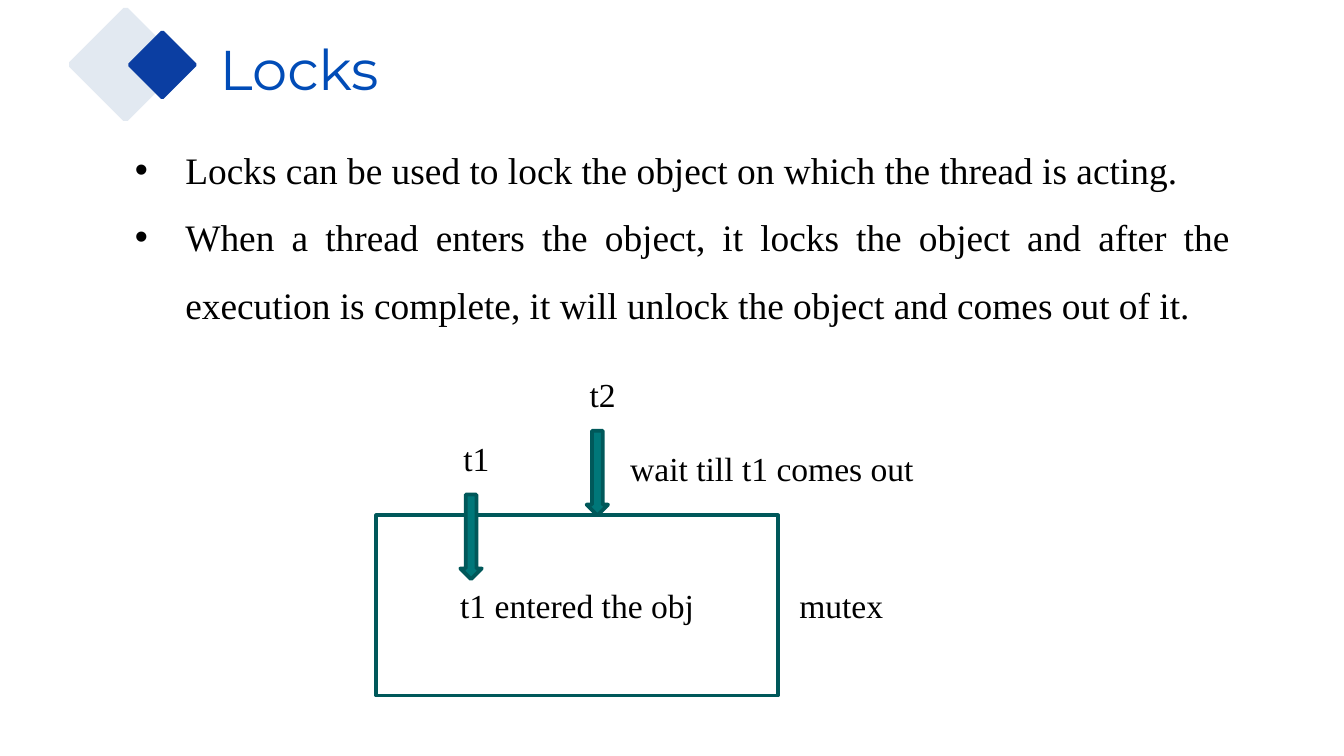
from dataclasses import dataclass
from lxml.etree import SubElement as Sub
from pptx import Presentation
from pptx.dml.color import RGBColor as Rgb
from pptx.enum.shapes import MSO_SHAPE as Kind
from pptx.enum.text import MSO_ANCHOR as Anchor, PP_ALIGN as Align
from pptx.oxml.ns import qn
from pptx.util import Inches, Pt

# The grid: 100 columns by 56.25 rows of a tenth of an inch (16:9)
COLS, ROWS, UNIT = 100, 56.25, 0.1


@dataclass(frozen=True)
class Theme:
    pale: str = "E2E9F1"
    navy: str = "0B3EA2"
    blue: str = "014CB7"
    ink: str = "000000"
    teal: str = "007779"
    edge: str = "00585A"
    head: str = "Montserrat"
    body: str = "Times New Roman"
    big: int = 30
    mid: int = 20
    small: int = 18
    line: int = 2


T = Theme()


def grid(n):
    return Inches(n * UNIT)


def place(box, x, y, w, h):
    """A part's box, given from the corner of its region."""
    return box[0] + x, box[1] + y, w, h


def paint(shape, fill=None, edge=None):
    shape.shadow.inherit = False
    if fill:
        shape.fill.solid()
        shape.fill.fore_color.rgb = Rgb.from_string(fill)
    else:
        shape.fill.background()
    if edge:
        shape.line.color.rgb = Rgb.from_string(edge)
        shape.line.width = Pt(T.line)
    else:
        shape.line.fill.background()


def write(frame, *lines, font=T.body, size=T.small, color=T.ink,
          align=Align.CENTER, space=None, indent=0, wrap=True, inset=True):
    frame.word_wrap = wrap
    if not inset:
        frame.margin_left = frame.margin_right = 0
        frame.margin_top = frame.margin_bottom = 0
    for i, line in enumerate(lines):
        para = frame.add_paragraph() if i else frame.paragraphs[0]
        para.alignment = align
        para.line_spacing = space
        if indent:
            props = para._p.get_or_add_pPr()
            props.set("marL", str(grid(indent)))
            props.set("indent", str(-grid(indent)))
            Sub(props, qn("a:buFont"), typeface="Arial")
            Sub(props, qn("a:buChar"), char="•")
        run = para.add_run()
        run.text = line
        run.font.name, run.font.size = font, Pt(size)
        run.font.color.rgb = Rgb.from_string(color)


def text(slide, box, *lines, **form):
    area = slide.shapes.add_textbox(*map(grid, box))
    write(area.text_frame, *lines, **form)


def gem(slide, box, fill):
    """A diamond with soft corners."""
    left, top, wide, high = box
    # Top corner as shares of the box; a quarter turn gives the next one
    turn = [(0.47, 0.01), (0.48, 0), (0.52, 0), (0.53, 0.01)]
    dots = []
    for _ in range(4):
        dots += turn
        turn = [(1 - y, x) for x, y in turn]
    dots = [(grid(left + x * wide), grid(top + y * high)) for x, y in dots]
    pen = slide.shapes.build_freeform(*dots[0])
    pen.add_line_segments(dots[1:], close=True)
    paint(pen.convert_to_shape(), fill)


def logo(slide, box):
    gem(slide, place(box, 0, 0, 8.4, 8.4), T.pale)
    gem(slide, place(box, 4.4, 1.7, 5.05, 5.05), T.navy)


def title(slide, box):
    text(slide, box, "Locks", font=T.head, size=T.big, color=T.blue,
         align=Align.LEFT, inset=False)


def points(slide, box):
    text(slide, box,
         "Locks can be used to lock the object on which the thread is acting.",
         "When a thread enters the object, it locks the object and after the "
         "execution is complete, it will unlock the object and comes out of it. ",
         size=T.mid, align=Align.JUSTIFY, space=1.5, indent=3.75)


def scheme(slide, box):
    add = slide.shapes.add_shape
    # The locked object
    room = add(Kind.RECTANGLE, *map(grid, place(box, 0, 11.05, 29.9, 13.4)))
    paint(room, edge=T.edge)
    room.text_frame.vertical_anchor = Anchor.MIDDLE
    write(room.text_frame, "t1 entered the obj")
    # Threads: each name stands above its arrow
    for name, x, y in (("t1", 5.45, 4.8), ("t2", 14.85, 0.05)):
        arrow = add(Kind.DOWN_ARROW,
                    *map(grid, place(box, x + 0.8, y + 4.7, 1.6, 6.3)))
        paint(arrow, T.teal, T.edge)
        text(slide, place(box, x, y, 4, 4), name, wrap=False)
    # Side notes
    for note, x, y, w in (("wait till t1 comes out", 17.8, 5.55, 23.3),
                          ("mutex", 30.45, 15.7, 8.3)):
        text(slide, place(box, x, y, w, 4), note, wrap=False)


def main():
    deck = Presentation()
    deck.slide_width, deck.slide_height = grid(COLS), grid(ROWS)
    slide = deck.slides.add_slide(deck.slide_layouts[6])
    logo(slide, (5.15, 0.6, 9.45, 8.4))
    title(slide, (16.35, 2.6, 76.2, 5))
    points(slide, (9.05, 8.8, 83.5, 16.2))
    scheme(slide, (28, 27.3, 41.1, 24.45))
    deck.save("out.pptx")


if __name__ == "__main__":
    main()
